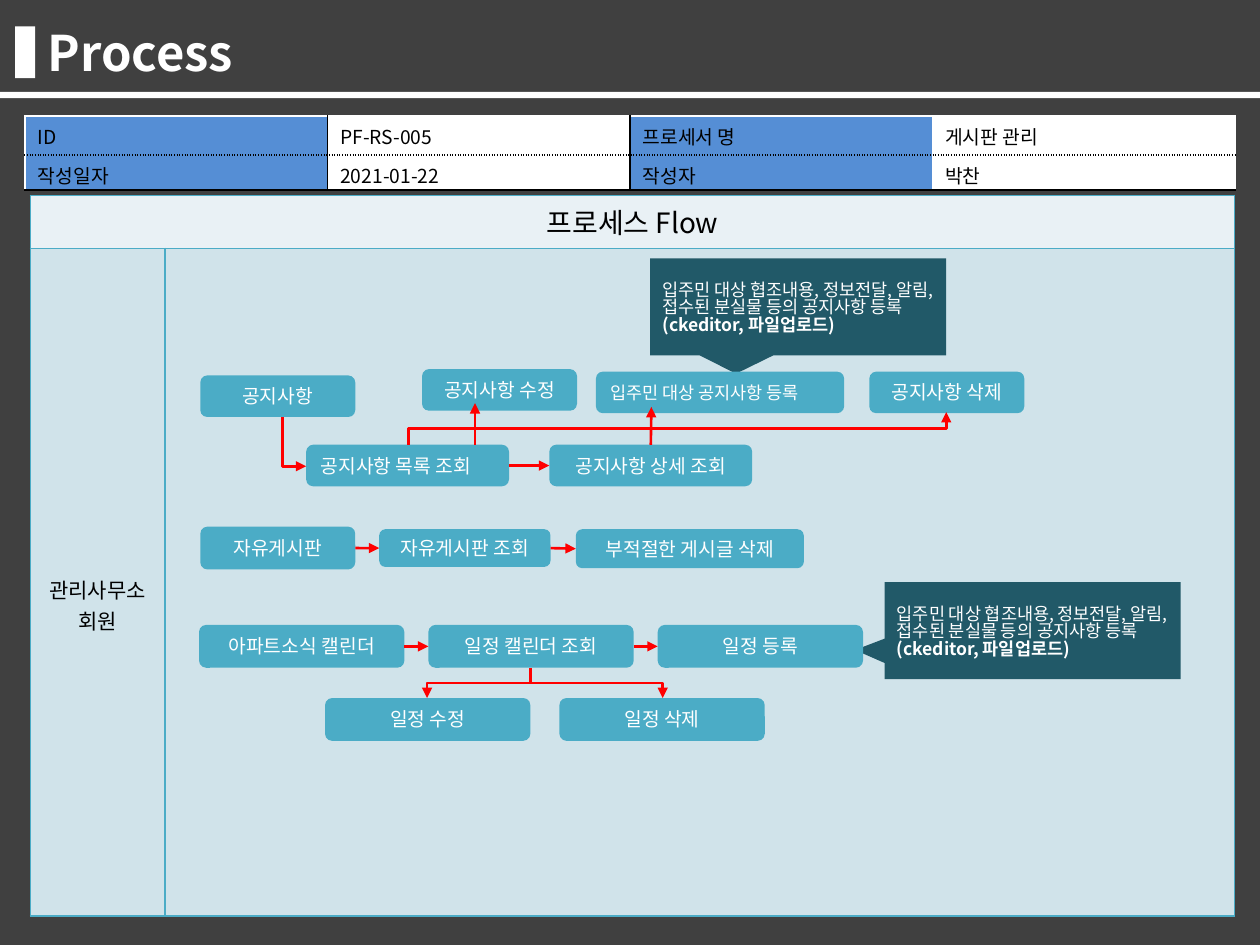
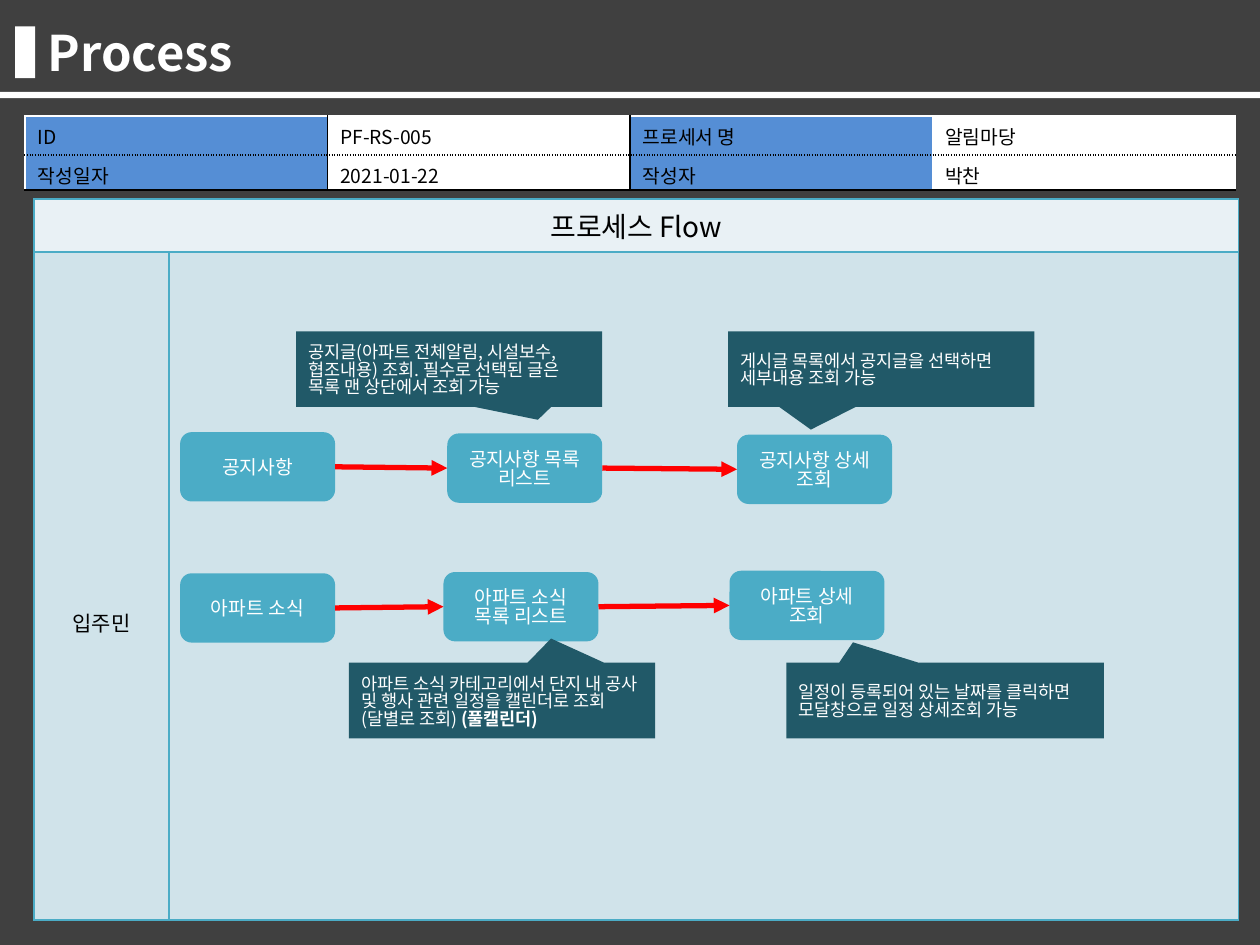
from lxml.etree import SubElement
from pptx import Presentation
from pptx.dml.color import RGBColor
from pptx.enum.shapes import MSO_CONNECTOR, MSO_SHAPE
from pptx.enum.text import MSO_ANCHOR, MSO_AUTO_SIZE, PP_ALIGN
from pptx.oxml.ns import qn
from pptx.util import Inches, Pt

FONT = "Noto Sans CJK KR"
COLORS = {
    "background": "404040",
    "white": "FFFFFF",
    "black": "000000",
    "label": "558ED5",
    "teal": "4BACC6",
    "header": "E9F1F5",
    "lane": "D0E3EA",
    "callout": "215968",
    "arrow": "FF0000",
}
TOP, LEFT, BOTTOM, RIGHT = 0, 1, 2, 3
COLUMN_EDGES = [("white", None), ("black", None), ("black", None), ("white", None), ("white", None)]
ROW_EDGES = [("white", None), ("black", "sysDot"), ("black", None)]
NOTICE_DETAILS = [
    "입주민 대상 협조내용, 정보전달, 알림, 접수된 분실물 등의 공지사항 등록 ",
    "(ckeditor, 파일업로드)",
]


def rgb(name):
    return RGBColor.from_string(COLORS[name])


def inches(*values):
    return [Inches(value) for value in values]


def set_attributes(target, values):
    for name, value in values.items():
        setattr(target, name, value)


def write(paragraph, texts, size, color, bold=False, align=PP_ALIGN.LEFT, spacing=None):
    set_attributes(paragraph, {"alignment": align, "line_spacing": spacing})
    for index, text in enumerate(texts):
        run = paragraph.add_run()
        run.text = text
        set_attributes(run.font, {"name": FONT, "size": Pt(size), "bold": bold or index > 0})
        run.font.color.rgb = rgb(color)
        SubElement(run._r.get_or_add_rPr(), qn("a:ea"), typeface=FONT)


def add_block(slide, kind, box, color):
    shape = slide.shapes.add_shape(kind, *inches(*box))
    shape.shadow.inherit = False
    shape.fill.solid()
    shape.fill.fore_color.rgb = rgb(color)
    shape.line.fill.background()
    return shape


def add_text_block(slide, kind, box, color, texts, size, align):
    shape = add_block(slide, kind, box, color)
    set_attributes(shape.text_frame, {
        "word_wrap": True,
        "vertical_anchor": MSO_ANCHOR.MIDDLE,
        "margin_left": Inches(0.1),
        "margin_right": Inches(0.1),
        "margin_top": Inches(0.05),
        "margin_bottom": Inches(0.02),
    })
    write(shape.text_frame.paragraphs[0], texts, size, "white", align=align, spacing=0.83)
    return shape


def add_node(slide, text, box, size=11, align=PP_ALIGN.CENTER):
    return add_text_block(slide, MSO_SHAPE.ROUNDED_RECTANGLE, box, "teal", [text], size, align)


def add_callout(slide, texts, box, tip):
    shape = add_text_block(
        slide, MSO_SHAPE.RECTANGULAR_CALLOUT, box, "callout", texts, 10, PP_ALIGN.LEFT)
    for index, offset in enumerate(tip):
        shape.adjustments[index] = offset


def style_arrow(connector, width):
    connector.line.color.rgb = rgb("arrow")
    connector.line.width = Pt(width)
    properties = connector._element.spPr
    SubElement(properties.find(qn("a:ln")), qn("a:tailEnd"), type="triangle")
    SubElement(properties, qn("a:effectLst"))


def add_arrow(slide, begin, end, width=1.5):
    connector = slide.shapes.add_connector(MSO_CONNECTOR.STRAIGHT, *inches(*begin, *end))
    style_arrow(connector, width)
    return connector


def chain(slide, nodes, width=1.5):
    for source, target in zip(nodes, nodes[1:]):
        connector = add_arrow(slide, (0, 0), (1, 1), width)
        connector.begin_connect(source, RIGHT)
        connector.end_connect(target, LEFT)


def add_elbow(slide, begin, end, preset="bentConnector3"):
    across, down = end[0] - begin[0], end[1] - begin[1]
    center_x, center_y = (begin[0] + end[0]) / 2, (begin[1] + end[1]) / 2
    half_width, half_height = abs(down) / 2, abs(across) / 2
    connector = slide.shapes.add_connector(MSO_CONNECTOR.ELBOW, *inches(
        center_x - half_width, center_y - half_height,
        center_x + half_width, center_y + half_height))
    properties = connector._element.spPr
    properties.find(qn("a:prstGeom")).set("prst", preset)
    transform = properties.find(qn("a:xfrm"))
    transform.set("rot", str((90 if down > 0 else 270) * 60000))
    if across * down > 0:
        transform.set("flipV", "1")
    style_arrow(connector, 1.5)


def style_cell(cell, fill, edges):
    cell.fill.solid()
    cell.fill.fore_color.rgb = rgb(fill)
    properties = cell._tc.get_or_add_tcPr()
    for index, (side, (color, dash)) in enumerate(zip("LRTB", edges)):
        line = SubElement(properties, qn(f"a:ln{side}"), w=str(Pt(1)))
        SubElement(SubElement(line, qn("a:solidFill")), qn("a:srgbClr"), val=COLORS[color])
        if dash:
            SubElement(line, qn("a:prstDash"), val=dash)
        properties.insert(index, line)


def add_plain_table(slide, box, widths, heights):
    frame = slide.shapes.add_table(len(heights), len(widths), *inches(*box))
    table = frame.table
    set_attributes(table, {"first_row": False, "horz_banding": False})
    for column, width in zip(table.columns, widths):
        column.width = Inches(width)
    for row, height in zip(table.rows, heights):
        row.height = Inches(height)
    return table


def add_info_table(slide, process_name):
    rows = [
        ["ID", "PF-RS-005", "프로세서 명", process_name],
        ["작성일자", "2021-01-22", "작성자", "박찬"],
    ]
    table = add_plain_table(slide, (0.2, 0.92, 9.6, 0.59), [2.4] * 4, [0.31, 0.28])
    for row, texts in enumerate(rows):
        for column, text in enumerate(texts):
            cell = table.cell(row, column)
            cell.margin_bottom = 0
            style_cell(cell, "white" if column % 2 else "label",
                       COLUMN_EDGES[column:column + 2] + ROW_EDGES[row:row + 2])
            write(cell.text_frame.paragraphs[0], [text], 11, "black")


def add_lane_table(slide, left, top, role, role_margin):
    table = add_plain_table(slide, (left, top, 9.56, 5.72), [1.07, 8.49], [0.42, 5.3])
    for row, fill in enumerate(["header", "lane"]):
        for column in range(2):
            cell = table.cell(row, column)
            style_cell(cell, fill, [("teal", None)] * 4)
            cell.vertical_anchor = MSO_ANCHOR.MIDDLE
    table.cell(0, 0).merge(table.cell(0, 1))
    table.cell(1, 0).margin_top = Inches(role_margin)
    for row, text, size in [(0, "프로세스 Flow", 16), (1, role, 12)]:
        write(table.cell(row, 0).text_frame.paragraphs[0], [text], size, "black",
              align=PP_ALIGN.CENTER)


def add_process_slide(presentation):
    slide = presentation.slides.add_slide(presentation.slide_layouts[5])
    slide.background.fill.solid()
    slide.background.fill.fore_color.rgb = rgb("background")
    title = slide.shapes.title
    box = dict(zip(["left", "top", "width", "height"], inches(0.28, 0.13, 8.98, 0.57)))
    set_attributes(title, box)
    set_attributes(title.text_frame, {
        "auto_size": MSO_AUTO_SIZE.NONE, "vertical_anchor": MSO_ANCHOR.TOP, "word_wrap": True})
    write(title.text_frame.paragraphs[0], ["Process"], 28, "white", bold=True)
    for bar in [(0.12, 0.21, 0.16, 0.41), (0, 0.73, 10, 0.05)]:
        add_block(slide, MSO_SHAPE.RECTANGLE, bar, "white")
    return slide


def build_board_management(presentation):
    slide = add_process_slide(presentation)
    add_lane_table(slide, 0.24, 1.55, "관리사무소 회원", 0.41)
    add_info_table(slide, "게시판 관리")
    add_callout(slide, NOTICE_DETAILS, (5.16, 2.05, 2.35, 0.77), (-0.21, 0.69))
    add_callout(slide, NOTICE_DETAILS, (7.02, 4.62, 2.35, 0.77), (-0.6, 0.2))

    add_node(slide, "공지사항", (1.59, 2.98, 1.23, 0.33))
    add_node(slide, "공지사항 수정", (3.35, 2.93, 1.23, 0.33))
    add_node(slide, "입주민 대상 공지사항 등록", (4.73, 2.95, 1.97, 0.33), 10, PP_ALIGN.LEFT)
    add_node(slide, "공지사항 삭제", (6.9, 2.95, 1.23, 0.33))
    notice_list = add_node(slide, "공지사항 목록 조회", (2.43, 3.53, 1.61, 0.33),
                           align=PP_ALIGN.LEFT)
    notice_detail = add_node(slide, "공지사항 상세 조회", (4.36, 3.53, 1.61, 0.33))
    free_board = [
        add_node(slide, "자유게시판", (1.59, 4.18, 1.23, 0.34)),
        add_node(slide, "자유게시판 조회", (3.01, 4.2, 1.36, 0.3)),
        add_node(slide, "부적절한 게시글 삭제", (4.57, 4.2, 1.81, 0.31)),
    ]
    calendar = [
        add_node(slide, text, (1.58 + 1.82 * index, 4.96, 1.63, 0.34))
        for index, text in enumerate(["아파트소식 캘린더", "일정 캘린더 조회", "일정 등록"])
    ]
    for text, left in [("일정 수정", 2.58), ("일정 삭제", 4.44)]:
        add_node(slide, text, (left, 5.54, 1.63, 0.34))

    for nodes in [[notice_list, notice_detail], free_board, calendar]:
        chain(slide, nodes)
    add_elbow(slide, (2.24, 3.31), (2.43, 3.7), "bentConnector2")
    add_elbow(slide, (3.24, 3.53), (7.51, 3.27))
    add_arrow(slide, (5.17, 3.53), (5.17, 3.23)).begin_connect(notice_detail, TOP)
    add_arrow(slide, (3.77, 3.53), (3.77, 3.2))
    for target in [3.39, 5.26]:
        add_elbow(slide, (4.21, 5.3), (target, 5.54))


def build_notice_board(presentation):
    slide = add_process_slide(presentation)
    add_lane_table(slide, 0.27, 1.58, "입주민", 0.63)
    add_info_table(slide, "알림마당")
    flows = [
        [("공지사항", 1.43, 3.43), ("공지사항 목록 리스트", 3.55, 3.44),
         ("공지사항 상세 조회", 5.85, 3.45)],
        [("아파트 소식", 1.43, 4.55), ("아파트 소식 목록 리스트", 3.52, 4.54),
         ("아파트 상세 조회", 5.79, 4.53)],
    ]
    for flow in flows:
        nodes = [add_node(slide, text, (left, top, 1.23, 0.55)) for text, left, top in flow]
        chain(slide, nodes, 3)

    callouts = [
        (["공지글(아파트 전체알림, 시설보수, 협조내용) 조회. 필수로 선택된 글은 목록 맨 상단에서 조회 가능"],
         (2.35, 2.63, 2.43, 0.6), (0.29, 0.67)),
        (["게시글 목록에서 공지글을 선택하면 세부내용 조회 가능"],
         (5.78, 2.63, 2.43, 0.6), (-0.23, 0.8)),
        (["아파트 소식 카테고리에서 단지 내 공사 및 행사 관련 일정을 캘린더로 조회 (달별로 조회) ", "(풀캘린더)"],
         (2.77, 5.26, 2.43, 0.6), (0.16, -0.82)),
        (["일정이 등록되어 있는 날짜를 클릭하면 모달창으로 일정 상세조회 가능"],
         (6.24, 5.26, 2.52, 0.6), (-0.29, -0.77)),
    ]
    for texts, box, tip in callouts:
        add_callout(slide, texts, box, tip)


def main():
    presentation = Presentation()
    presentation.slide_width, presentation.slide_height = inches(10, 7.5)
    build_board_management(presentation)
    build_notice_board(presentation)
    presentation.save("out.pptx")


if __name__ == "__main__":
    main()
